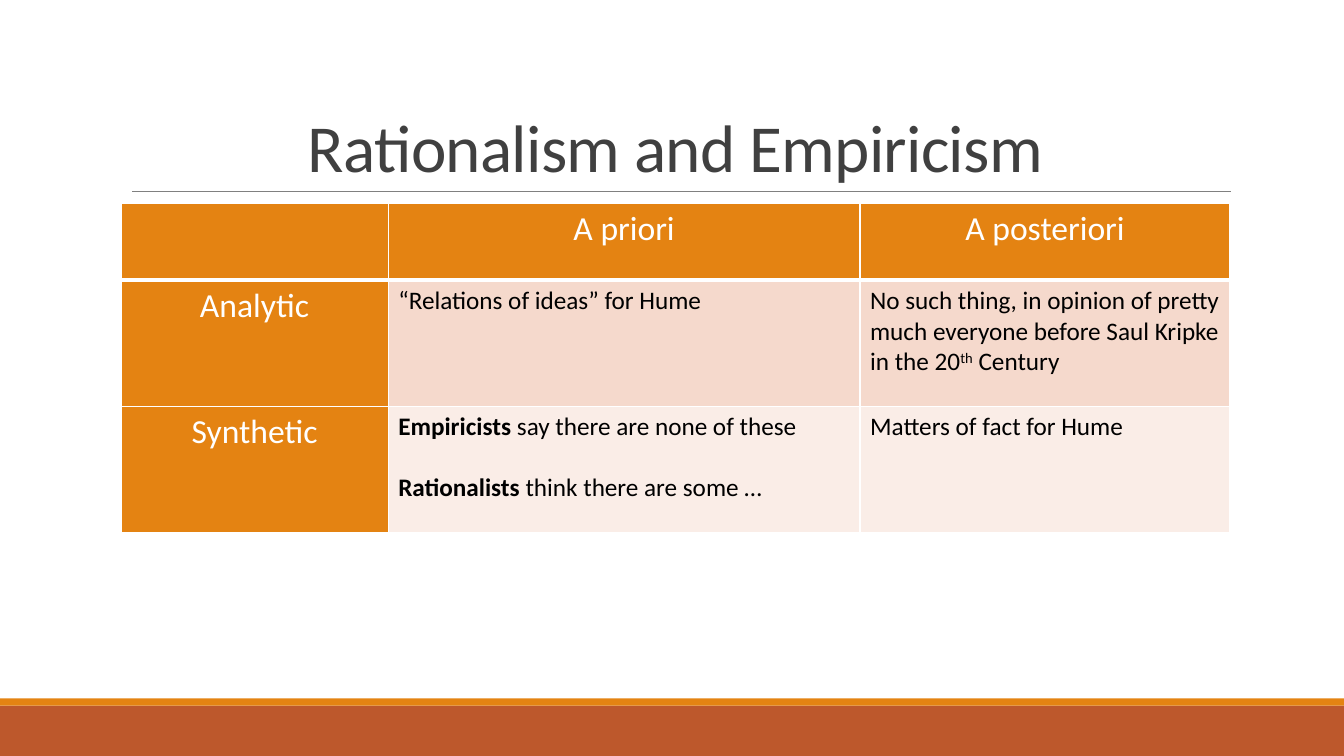
from lxml.etree import SubElement
from pptx import Presentation
from pptx.dml.color import RGBColor
from pptx.enum.shapes import MSO_CONNECTOR, MSO_SHAPE
from pptx.enum.text import MSO_ANCHOR, PP_ALIGN
from pptx.oxml.ns import qn
from pptx.util import Inches, Pt

COLORS = {
    "orange": "E48312", "rust": "BD582C", "rule": "808080", "title": "404040",
    "white": "FFFFFF", "black": "000000", "row1": "F5D9CC", "row2": "FAEDE7",
}
W, H = 13.33, 7.5
LEFT, WIDTH = 1.2, 11
COLS = [2.65, 4.68, 3.67]
ROWS = [0.76, 1.25, 1.25]


def add_run(p, text, size, color, bold=False):
    """Append one Calibri run to a paragraph and return it."""
    r = p.add_run()
    r.text = text
    r.font.name = "Calibri"
    r.font.size = Pt(size)
    r.font.bold = bold
    r.font.color.rgb = RGBColor.from_string(COLORS[color])
    return r


def add_borders(cell, bottom):
    """Give a cell white 1 pt borders, with its own bottom width in points."""
    tcPr = cell._tc.get_or_add_tcPr()
    for side, width in (("L", 1), ("R", 1), ("T", 1), ("B", bottom)):
        ln = SubElement(tcPr, qn(f"a:ln{side}"), w=str(Pt(width)))
        fill = SubElement(ln, qn("a:solidFill"))
        SubElement(fill, qn("a:srgbClr"), val=COLORS["white"])


prs = Presentation()
prs.slide_width, prs.slide_height = Inches(W), Inches(H)
s = prs.slides.add_slide(prs.slide_layouts[6])

# Footer bands
for top, height, color in ((7, 0.5, "rust"), (6.93, 0.07, "orange")):
    sp = s.shapes.add_shape(MSO_SHAPE.RECTANGLE, 0, Inches(top), Inches(W), Inches(height))
    sp.shadow.inherit = False
    sp.fill.solid()
    sp.fill.fore_color.rgb = RGBColor.from_string(COLORS[color])
    sp.line.fill.background()

# Rule under the title
rule = s.shapes.add_connector(
    MSO_CONNECTOR.STRAIGHT, Inches(1.31), Inches(1.9), Inches(12.21), Inches(1.9))
rule.line.color.rgb = RGBColor.from_string(COLORS["rule"])
rule.line.width = Pt(0.5)
SubElement(rule._element.spPr, qn("a:effectLst"))

# Title
tf = s.shapes.add_textbox(Inches(LEFT), Inches(0.31), Inches(WIDTH), Inches(1.59)).text_frame
tf.word_wrap = True
tf.vertical_anchor = MSO_ANCHOR.BOTTOM
p = tf.paragraphs[0]
p.alignment = PP_ALIGN.CENTER
p.line_spacing = 0.85
r = add_run(p, "Rationalism and Empiricism", 48, "title")
r._r.get_or_add_rPr().set("spc", "-50")

# Table: each cell is a list of paragraphs, each paragraph a list of (text, style) runs
CELLS = [
    [[], [[("A priori", "")]], [[("A posteriori", "")]]],
    [[[("Analytic", "")]],
     [[("“Relations of ideas” for Hume", "")]],
     [[("No such thing, in opinion of pretty much everyone before Saul Kripke in the 20", ""),
       ("th", "super"), (" Century", "")]]],
    [[[("Synthetic", "")]],
     [[("Empiricists", "bold"), (" say there are none of these", "")],
      [("Rationalists", "bold"), (" think there are some …", "")]],
     [[("Matters of fact for Hume", "")]]],
]
table = s.shapes.add_table(
    len(ROWS), len(COLS), Inches(LEFT), Inches(2.02), Inches(WIDTH), Inches(sum(ROWS))).table
table.first_row = table.horz_banding = False
for col, width in zip(table.columns, COLS):
    col.width = Inches(width)
for row, height in zip(table.rows, ROWS):
    row.height = Inches(height)

for i, row in enumerate(CELLS):
    for j, paragraphs in enumerate(row):
        heading = i == 0 or j == 0
        size, color = (24, "white") if heading else (18, "black")
        cell = table.cell(i, j)
        add_borders(cell, 3 if i == 0 else 1)
        cell.fill.solid()
        cell.fill.fore_color.rgb = RGBColor.from_string(
            COLORS["orange" if heading else f"row{i}"])
        for n, runs in enumerate(paragraphs):
            p = cell.text_frame.paragraphs[0] if n == 0 else cell.text_frame.add_paragraph()
            p.alignment = PP_ALIGN.CENTER if heading else PP_ALIGN.LEFT
            if n:
                p.space_before = Pt(22)
            for text, style in runs:
                r = add_run(p, text, size, color, style == "bold")
                if style == "super":
                    r._r.get_or_add_rPr().set("baseline", "30000")

prs.save("out.pptx")
